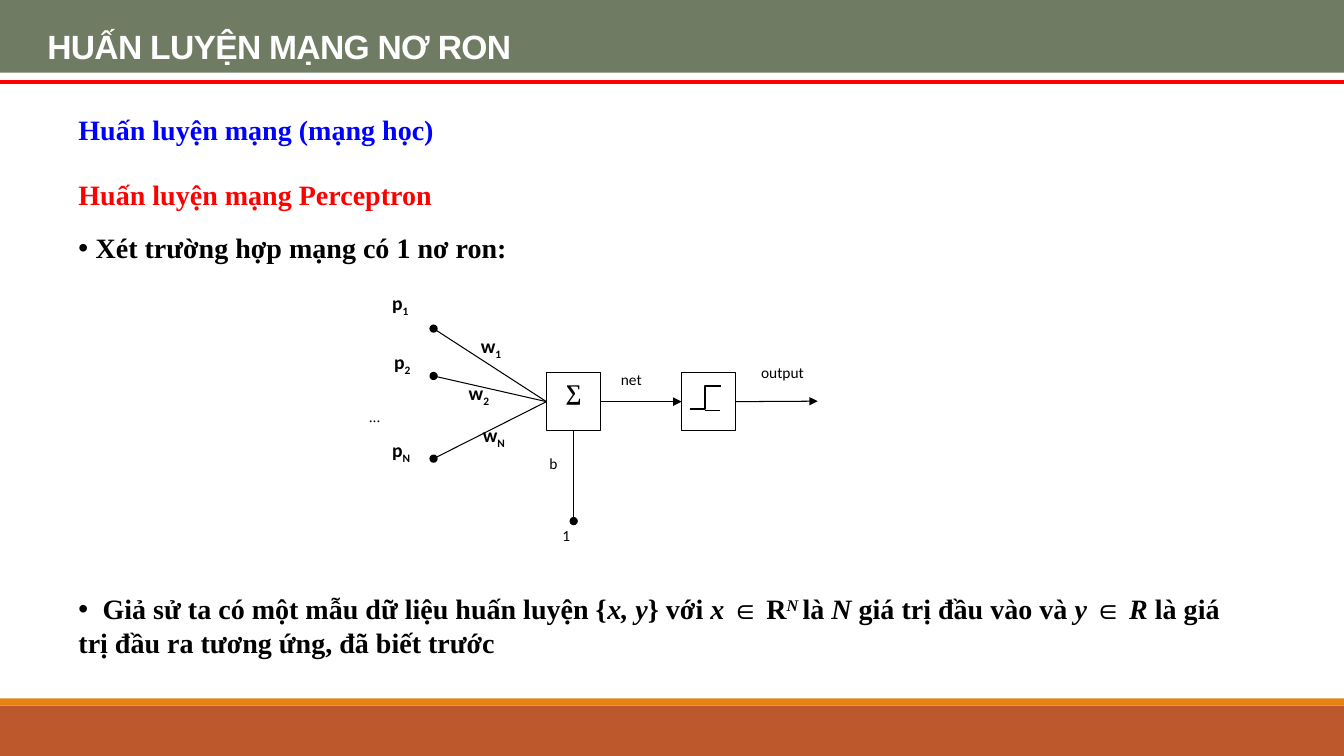
from lxml import etree
from pptx import Presentation
from pptx.dml.color import RGBColor
from pptx.enum.shapes import MSO_CONNECTOR, MSO_SHAPE
from pptx.enum.text import MSO_ANCHOR, PP_ALIGN
from pptx.oxml.ns import qn
from pptx.util import Inches, Pt

RECT = MSO_SHAPE.RECTANGLE
STRAIGHT, ELBOW = MSO_CONNECTOR.STRAIGHT, MSO_CONNECTOR.ELBOW
TOP, MIDDLE = MSO_ANCHOR.TOP, MSO_ANCHOR.MIDDLE
LEFT, CENTER, JUSTIFY = PP_ALIGN.LEFT, PP_ALIGN.CENTER, PP_ALIGN.JUSTIFY
SITE_BOTTOM, SITE_LEFT, SITE_RIGHT = 2, 1, 3
SERIF, SANS = "Times New Roman", "Calibri"
COLORS = {
    "black": "000000", "white": "FFFFFF", "red": "FF0000", "blue": "0000FF",
    "green": "6F7B63", "orange": "E48312", "rust": "BD582C",
}


def rgb(name):
    return RGBColor.from_string(COLORS[name])


def add_bullet(p, tab):
    """Put a bullet before the paragraph, with its text starting at the tab stop."""
    pPr = p._p.get_or_add_pPr()
    pPr.set("marL", "0")
    pPr.set("indent", "0")
    etree.SubElement(pPr, qn("a:buFont"), typeface="Arial")
    etree.SubElement(pPr, qn("a:buChar"), char="•")
    tabs = etree.SubElement(pPr, qn("a:tabLst"))
    etree.SubElement(tabs, qn("a:tab"), pos=str(Inches(tab)), algn="l")


def write(sp, runs, size=20, font=SERIF, color="black", bold=True, align=LEFT,
          anchor=TOP, spacing=None, after=None, tab=None, inset=0.1, track=None):
    """Fill a shape with one paragraph; runs are (text, style), style "i", "sub" or "sup"."""
    tf = sp.text_frame
    tf.word_wrap = True
    tf.vertical_anchor = anchor
    tf.margin_left = Inches(inset)
    p = tf.paragraphs[0]
    p.alignment = align
    if spacing:
        p.line_spacing = spacing
    if after:
        p.space_after = Pt(after)
    if tab:
        add_bullet(p, tab)
    for text, style in [(runs, "")] if isinstance(runs, str) else runs:
        r = p.add_run()
        r.text = text
        f = r.font
        f.size, f.name, f.bold = Pt(size), font, bold
        f.italic = style in ("i", "sup")
        f.color.rgb = rgb(color)
        rPr = f._element
        if style in ("sub", "sup"):
            rPr.set("baseline", "-25000" if style == "sub" else "30000")
        if track:
            rPr.set("spc", str(int(track * 100)))


def add_text(s, x, y, w, h, runs, **fmt):
    sp = s.shapes.add_textbox(Inches(x), Inches(y), Inches(w), Inches(h))
    write(sp, runs, **fmt)


def add_label(s, x, y, w, runs, **fmt):
    add_text(s, x, y, w, 0.56, runs, after=10, **{"font": SANS, **fmt})


def add_rect(s, x, y, w, h, fill, line=None):
    sp = s.shapes.add_shape(RECT, Inches(x), Inches(y), Inches(w), Inches(h))
    sp.shadow.inherit = False
    sp.fill.solid()
    sp.fill.fore_color.rgb = rgb(fill)
    if line:
        sp.line.color.rgb = rgb(line)
        sp.line.width = Pt(0.75)
    else:
        sp.line.fill.background()
    return sp


def add_line(s, start, end, kind=STRAIGHT, color="black", width=0.75,
             head=None, tail=None, begin=None, finish=None):
    """Draw a connector; begin and finish are (shape, site) pairs to join."""
    c = s.shapes.add_connector(kind, *(Inches(v) for v in (*start, *end)))
    if begin:
        c.begin_connect(*begin)
    if finish:
        c.end_connect(*finish)
    c.line.color.rgb = rgb(color)
    c.line.width = Pt(width)
    ln = c.line._get_or_add_ln()
    for tag, shape in (("a:headEnd", head), ("a:tailEnd", tail)):
        if shape:
            etree.SubElement(ln, qn(tag), type=shape)
    etree.SubElement(c._element.spPr, qn("a:effectLst"))


def add_frame(s):
    add_rect(s, 0, 7, 13.33, 0.5, "rust")
    add_rect(s, 0, 6.93, 13.33, 0.07, "orange")
    title = add_rect(s, 0, 0, 13.33, 0.72, "green")
    write(title, "HUẤN LUYỆN MẠNG NƠ RON", size=24, font="Arial", color="white",
          anchor=MIDDLE, spacing=1.5, inset=0.47, track=-0.5)
    add_line(s, (0, 0.81), (13.33, 0.81), color="red", width=3)


def add_neuron(s):
    for x, y, w, letter, index in (
            (3.79, 2.84, 0.58, "p", "1"), (3.81, 3.42, 0.58, "p", "2"),
            (3.79, 4.3, 0.8, "p", "N"), (4.67, 3.26, 0.89, "w", "1"),
            (4.55, 3.73, 0.89, "w", "2"), (4.69, 4.15, 0.89, "w", "N")):
        add_label(s, x, y, w, [(letter, ""), (index, "sub")], size=14)
    for x, y, w, text, font in (
            (5.48, 5.17, 0.42, "1", SANS), (7.45, 3.55, 1.32, "output", SANS),
            (5.35, 4.46, 0.42, "b", SANS), (6.06, 3.62, 0.7, "net", SANS),
            (3.56, 3.99, 0.89, "...", SERIF)):
        add_label(s, x, y, w, text, size=11, bold=False, font=font)

    total, step = (add_rect(s, x, 3.7, 0.54, 0.57, "white", "black")
                   for x in (5.42, 6.76))
    write(total, "∑", size=16, align=CENTER, after=10)
    for y in (3.26, 3.73, 4.55):
        add_line(s, (4.3, y), (5.42, 3.99), head="oval", finish=(total, SITE_LEFT))
    add_line(s, (5.69, 5.17), (5.69, 4.27), head="oval", finish=(total, SITE_BOTTOM))
    add_line(s, (5.96, 3.99), (6.76, 3.99), tail="triangle",
             begin=(total, SITE_RIGHT), finish=(step, SITE_LEFT))
    add_line(s, (7.3, 3.98), (8.11, 3.98), tail="triangle", begin=(step, SITE_RIGHT))
    add_line(s, (6.84, 4.06), (7.15, 3.83), kind=ELBOW, width=1.5)
    add_line(s, (6.99, 4.07), (7.14, 4.07))


def main():
    prs = Presentation()
    prs.slide_width, prs.slide_height = Inches(13.33), Inches(7.5)
    s = prs.slides.add_slide(prs.slide_layouts[6])
    add_frame(s)
    add_text(s, 0.68, 1.07, 8.47, 0.44, "Huấn luyện mạng (mạng học)", color="blue")
    add_text(s, 0.68, 1.54, 9, 0.61, "Huấn luyện mạng Perceptron", color="red",
             align=JUSTIFY, anchor=MIDDLE, spacing=1.5)
    add_text(s, 0.68, 2.24, 9.5, 0.44, "\tXét trường hợp mạng có 1 nơ ron:", tab=0.17)
    add_neuron(s)
    add_text(s, 0.68, 5.82, 11.63, 0.77, [
        ("\tGiả sử ta có một mẫu dữ liệu huấn luyện {", ""), ("x, y", "i"),
        ("} với ", ""), ("x ", "i"), ("∈ R", ""), ("N ", "sup"), ("là ", ""),
        ("N ", "i"), ("giá trị đầu vào và ", ""), ("y ", "i"), ("∈ ", ""),
        ("R ", "i"), ("là giá trị đầu ra tương ứng, đã biết trước", ""),
    ], tab=0.24)
    prs.save("out.pptx")


if __name__ == "__main__":
    main()
